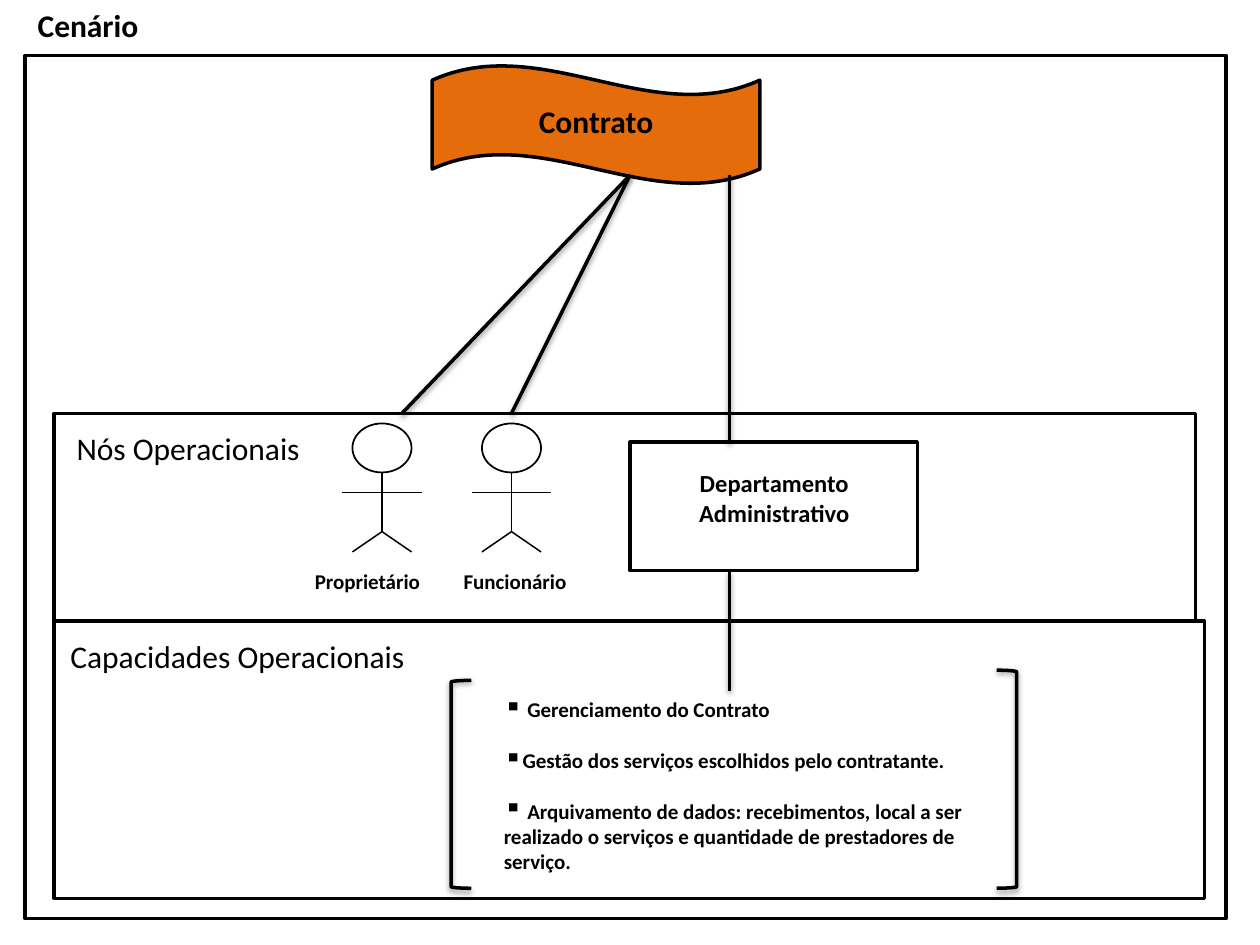
from lxml.etree import SubElement
from pptx import Presentation
from pptx.dml.color import RGBColor
from pptx.enum.shapes import MSO_CONNECTOR, MSO_SHAPE as Preset
from pptx.enum.text import MSO_AUTO_SIZE, PP_ALIGN as Align
from pptx.oxml.ns import qn
from pptx.util import Pt

BLACK, WHITE, ORANGE = "000000", "FFFFFF", "E46C0A"
THICK, THIN, OUTLINE = 2, 0.85, 1

frames = [
    (14.4, 31.7, 686.2, 493.2),
    (31, 236.2, 652.3, 118.8),
    (31, 355, 657.4, 158.4),
]
headings = [
    ("Cenário", (14.4, 0, 72.7, 28.8), True, False),
    ("Nós Operacionais", (36.7, 241.9, 175.7, 28.8), False, True),
    ("Capacidades Operacionais", (33.1, 360.7, 207.4, 28.8), False, False),
]
contract = ("Contrato", (247, 37.4, 187.2, 67.7), (247, 54.7, 187.2, 28.8))
department = ("Departamento Administrativo", (360, 252.7, 164.2, 73.4), (377.3, 264.2, 130.3, 41))
actors = [("Proprietário", 218.3, 172.8), ("Funcionário", 292.3, 257.8)]
brackets = [
    (Preset.LEFT_BRACKET, (257.8, 388.8, 11.5, 118.8)),
    (Preset.RIGHT_BRACKET, (569.5, 383, 11.5, 124.6)),
]
capabilities = [
    " Gerenciamento do Contrato",
    "Gestão dos serviços escolhidos pelo contratante.",
    " Arquivamento de dados: recebimentos, local a ser realizado o serviços e "
    "quantidade de prestadores de serviço.",
]
capabilities_box = (280.8, 394.6, 300.2, 131)
links = [
    (416.9, 100.1, 416.9, 252.7),
    (416.9, 326.9, 416.9, 394.6),
    (360, 100.1, 229.7, 236.2),
    (360, 100.1, 292.3, 236.2),
]

HEAD_TOP, HEAD_HALF, HEAD_HEIGHT = 242, 16.9, 28
NECK, ARMS, HIP, FEET, ARM_HALF = 270, 281.5, 303.8, 315.4, 22.7
LABEL_TOP, LABEL_WIDTH, LABEL_HEIGHT = 321.1, 85, 21.6


def color(value):
    return RGBColor.from_string(value)


def points(box):
    return [Pt(length) for length in box]


def add_effects(item, shadow):
    properties = item._element.spPr
    for old in properties.findall(qn("a:effectLst")):
        properties.remove(old)
    effects = SubElement(properties, qn("a:effectLst"))
    if shadow:
        outer = SubElement(effects, qn("a:outerShdw"), blurRad=str(Pt(3.1)),
                           dist=str(Pt(1.6)), dir="5400000", rotWithShape="0")
        tint = SubElement(outer, qn("a:srgbClr"), val=BLACK)
        SubElement(tint, qn("a:alpha"), val="38000")


def add_outline(slide, preset, box, fill=None, width=THICK, shadow=False):
    shape = slide.shapes.add_shape(preset, *points(box))
    if fill:
        shape.fill.solid()
        shape.fill.fore_color.rgb = color(fill)
    else:
        shape.fill.background()
    shape.line.color.rgb = color(BLACK)
    shape.line.width = Pt(width)
    add_effects(shape, shadow)


def add_line(slide, ends, width=THIN, shadow=False):
    line = slide.shapes.add_connector(MSO_CONNECTOR.STRAIGHT, *points(ends))
    line.line.color.rgb = color(BLACK)
    line.line.width = Pt(width)
    add_effects(line, shadow)


def add_text(slide, text, box, size, bold=True, align=Align.LEFT, wrap=True):
    frame = slide.shapes.add_textbox(*points(box)).text_frame
    frame.word_wrap = wrap
    frame.auto_size = MSO_AUTO_SIZE.SHAPE_TO_FIT_TEXT
    frame.text = text
    for paragraph in frame.paragraphs:
        paragraph.alignment = align
        for run in paragraph.runs:
            run.font.name = "Calibri"
            run.font.size = Pt(size)
            run.font.bold = bold
            run.font.color.rgb = color(BLACK)
    return frame


def add_actor(slide, name, center, label_left):
    add_outline(slide, Preset.OVAL,
                (center - HEAD_HALF, HEAD_TOP, 2 * HEAD_HALF, HEAD_HEIGHT), width=OUTLINE)
    add_line(slide, (center, NECK, center, HIP))
    add_line(slide, (center - ARM_HALF, ARMS, center + ARM_HALF, ARMS))
    for side in (-1, 1):
        add_line(slide, (center, HIP, center + side * HEAD_HALF, FEET))
    add_text(slide, name, (label_left, LABEL_TOP, LABEL_WIDTH, LABEL_HEIGHT), 12)


def add_capabilities(slide):
    frame = add_text(slide, "\n".join(capabilities), capabilities_box, 12)
    for index, paragraph in enumerate(frame.paragraphs):
        if index:
            paragraph.space_before = Pt(14.6)
        properties = paragraph._p.get_or_add_pPr()
        SubElement(properties, qn("a:buSzPct"), val="120000")
        SubElement(properties, qn("a:buChar"), char="▪")


def main():
    deck = Presentation()
    deck.slide_width, deck.slide_height = Pt(720), Pt(540)
    slide = deck.slides.add_slide(deck.slide_layouts[6])

    for box in frames:
        add_outline(slide, Preset.RECTANGLE, box)
    for text, box, bold, wrap in headings:
        add_text(slide, text, box, 18, bold, wrap=wrap)

    for (text, box, text_box), preset, fill, size in (
        (contract, Preset.WAVE, ORANGE, 18),
        (department, Preset.RECTANGLE, WHITE, 14),
    ):
        add_outline(slide, preset, box, fill)
        add_text(slide, text, text_box, size, align=Align.CENTER)

    for actor in actors:
        add_actor(slide, *actor)
    for preset, box in brackets:
        add_outline(slide, preset, box, shadow=True)
    add_capabilities(slide)
    for ends in links:
        add_line(slide, ends, THICK, shadow=True)

    deck.save("out.pptx")


if __name__ == "__main__":
    main()
